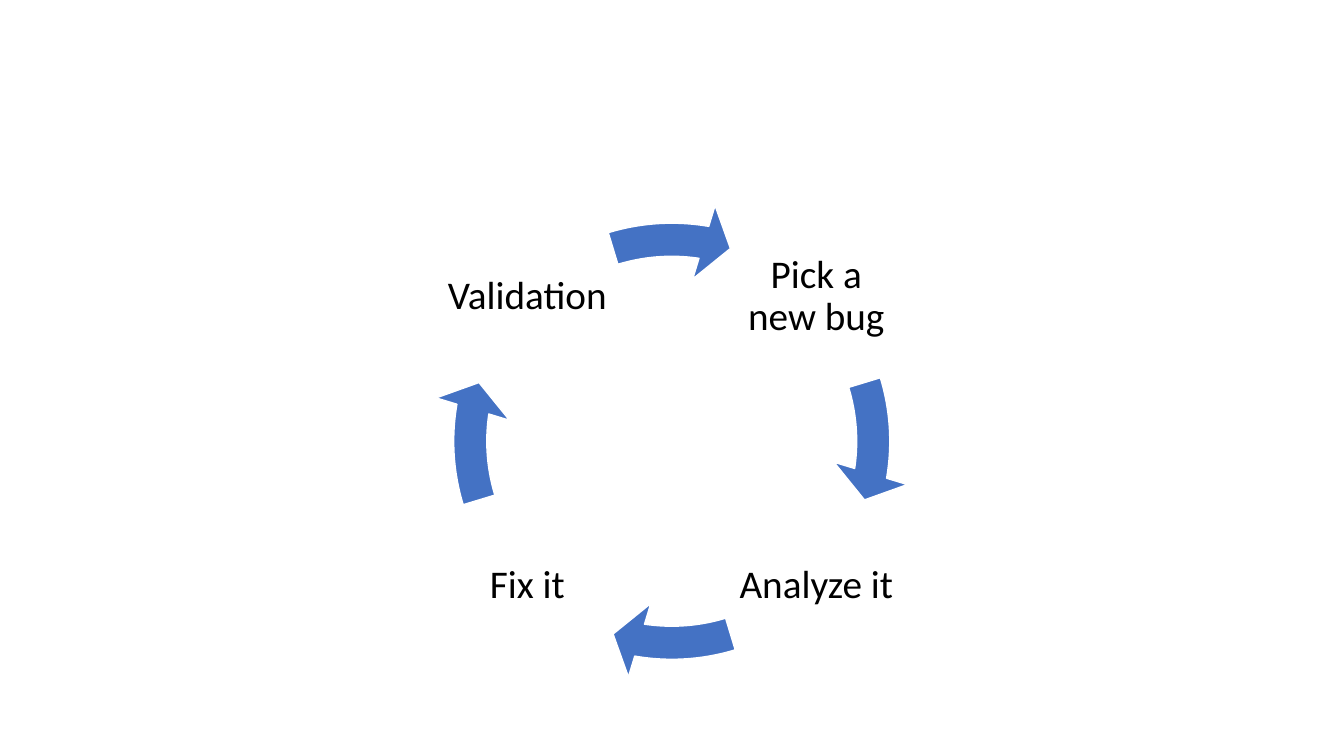
import math

from pptx import Presentation
from pptx import util as u
from pptx.dml.color import RGBColor
from pptx.enum import shapes, text

STEPS = ["Pick a new bug", "Analyze it", "Fix it", "Validation"]
SLIDE_SIZE = (33.87, 19.05)
CENTER = (16.93, 11.12)
RING_SIZE = 12.09
LABEL_SIZE = 4.27
LABEL_RADIUS = 5.15
ARROW = {"thickness": 0.069, "head_angle": 4.651, "end": 5.504,
         "start": 205.845, "head_width": 0.08}
FULL_TURN = 216
BLUE, WHITE, BLACK = "4472C4", "FFFFFF", "000000"


def color(value):
    return RGBColor.from_string(value)


def square(x, y, size):
    return [u.Cm(v) for v in (x - size / 2, y - size / 2, size, size)]


def add_label(slide, wording, x, y, size=28, font="Calibri", fill=BLACK):
    box = slide.shapes.add_textbox(*square(x, y, LABEL_SIZE))
    frame = box.text_frame
    frame.word_wrap = True
    frame.vertical_anchor = text.MSO_ANCHOR.MIDDLE
    frame.margin_left = frame.margin_right = u.Cm(0.09)
    frame.margin_top = frame.margin_bottom = u.Cm(0.09)
    para = frame.paragraphs[0]
    para.alignment = text.PP_ALIGN.CENTER
    para.line_spacing = 0.9
    span = para.add_run()
    span.text = wording
    span.font.size = u.Pt(size)
    span.font.name = font
    span.font.color.rgb = color(fill)


def add_arrow(slide, turn):
    arrow = slide.shapes.add_shape(
        shapes.MSO_SHAPE.CIRCULAR_ARROW, *square(*CENTER, RING_SIZE))
    arrow.shadow.inherit = False
    arrow.fill.solid()
    arrow.fill.fore_color.rgb = color(BLUE)
    arrow.line.color.rgb = color(WHITE)
    arrow.line.width = u.Pt(1)
    values = dict(ARROW)
    for angle in ("start", "end"):
        values[angle] = (values[angle] + turn * FULL_TURN) % FULL_TURN
    for index, value in enumerate(values.values()):
        arrow.adjustments[index] = value


def main():
    deck = Presentation()
    deck.slide_width, deck.slide_height = [u.Cm(v) for v in SLIDE_SIZE]
    page = deck.slides.add_slide(deck.slide_layouts[6])
    for index, step in enumerate(STEPS):
        turn = index / len(STEPS)
        angle = math.radians(360 * turn - 45)
        add_label(page, step,
                  CENTER[0] + LABEL_RADIUS * math.cos(angle),
                  CENTER[1] + LABEL_RADIUS * math.sin(angle))
        add_arrow(page, turn)
    deck.save("out.pptx")


if __name__ == "__main__":
    main()
